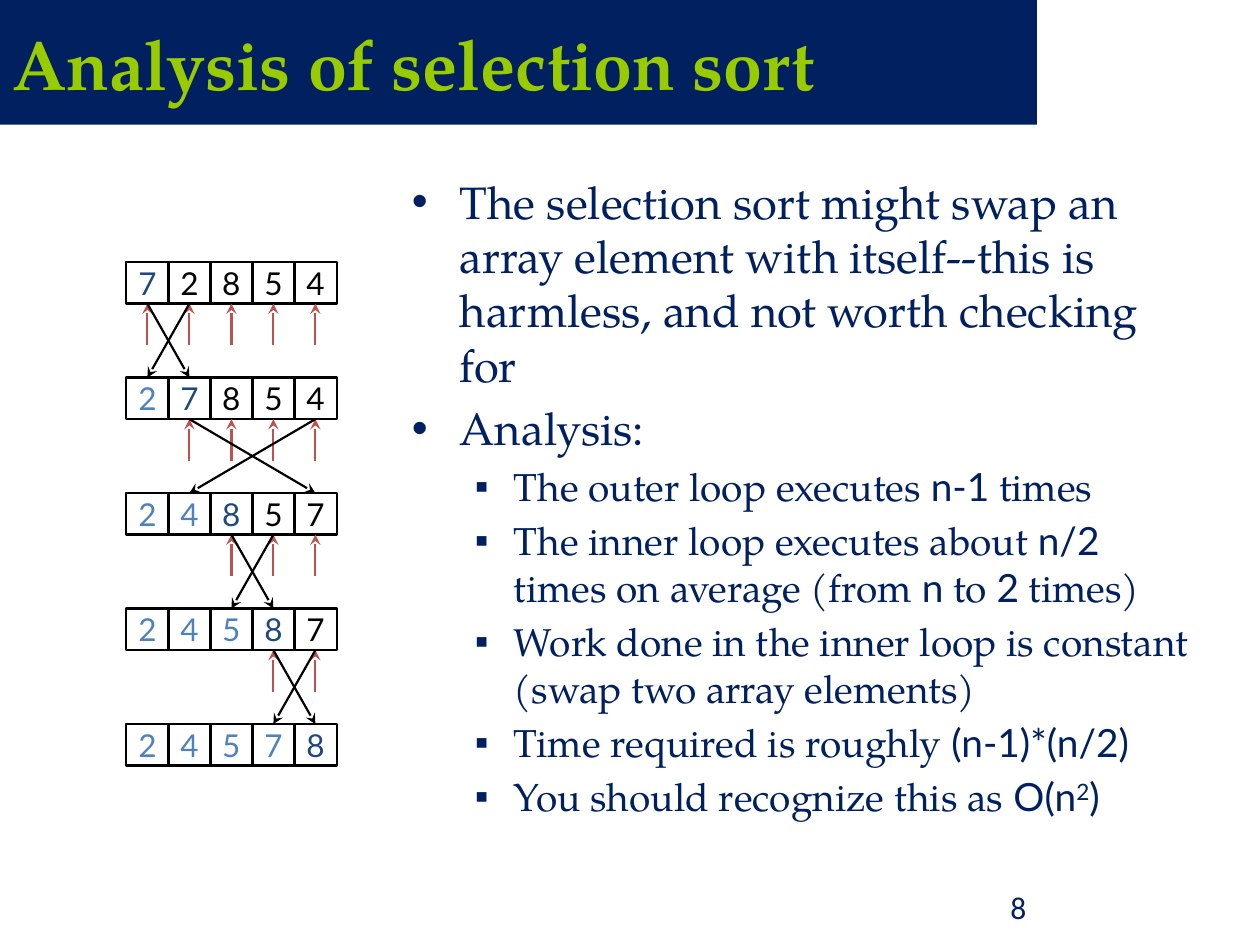
import pptx
import pptx.dml.color
import pptx.enum.shapes
import pptx.enum.text
import pptx.oxml.ns
import pptx.util
from lxml import etree
from pptx.util import Inches

COLORS = {
    "navy": "002060",
    "lime": "99CC00",
    "black": "000000",
    "sorted": "4F81BD",
    "current": "1F497D",
    "scan": "C0504D",
}
SERIF, SANS, NUMBER = "TeX Gyre Pagella", "Lato", "Calibri"

VALUES = [7, 2, 8, 5, 4]
SWAPS = [(0, 1), (1, 4), (2, 3), (3, 4)]
ARRAY_LEFT, ARRAY_TOP = 1, 2.08
COLUMN_PITCH, ROW_PITCH = 1 / 3, 11 / 12
CELL_WIDTH, CELL_HEIGHT = 0.34, 0.33
SCAN_LENGTH = 0.33
TOP, BOTTOM = 0, 2

# Each bullet is a level and its runs: (text, font) or (text, font, baseline)
BULLETS = [
    (0, [("The selection sort might swap an array element with itself--this is "
          "harmless, and not worth checking for", SERIF)]),
    (0, [("Analysis:", SERIF)]),
    (1, [("The outer loop executes ", SERIF), ("n-1", SANS), (" times", SERIF)]),
    (1, [("The inner loop executes about ", SERIF), ("n/2", SANS),
         (" times on average (from ", SERIF), ("n", SANS), (" to ", SERIF),
         ("2", SANS), (" times)", SERIF)]),
    (1, [("Work done in the inner loop is constant (swap two array elements)", SERIF)]),
    (1, [("Time required is roughly ", SERIF), ("(n-1)*(n/2)", SANS)]),
    (1, [("You should recognize this as", SERIF), (" O(n", SANS),
         ("2", SANS, 30000), (")", SANS)]),
]
# Size in points, left margin and hanging indent in inches, bullet character
LEVELS = [(25.9, 0.38, 0.38, "•"), (22.2, 0.81, 0.31, "▪")]


def rgb(name):
    return pptx.dml.color.RGBColor.from_string(COLORS[name])


def add_run(paragraph, text, *, size, font, color, bold=False, baseline=0):
    run = paragraph.add_run()
    run.text = text
    run.font.size = pptx.util.Pt(size)
    run.font.name = font
    run.font.bold = bold
    run.font.color.rgb = rgb(color)
    if baseline:
        run.font._element.set("baseline", str(baseline))


def set_bullet(paragraph, character, margin, hanging):
    properties = paragraph._p.get_or_add_pPr()
    properties.set("marL", str(Inches(margin)))
    properties.set("indent", str(-Inches(hanging)))
    font = etree.SubElement(properties, pptx.oxml.ns.qn("a:buFont"))
    font.set("typeface", "Arial")
    bullet = etree.SubElement(properties, pptx.oxml.ns.qn("a:buChar"))
    bullet.set("char", character)


class SlideBuilder:
    def __init__(self, presentation):
        self.slide = presentation.slides.add_slide(presentation.slide_layouts[6])

    def box(self, kind, left, top, width, height, text, *, fill=None, line=None,
            align=pptx.enum.text.PP_ALIGN.LEFT, wrap=True, **text_format):
        shape = self.slide.shapes.add_shape(
            kind, Inches(left), Inches(top), Inches(width), Inches(height))
        shape.shadow.inherit = False
        if fill:
            shape.fill.solid()
            shape.fill.fore_color.rgb = rgb(fill)
        else:
            shape.fill.background()
        if line:
            shape.line.color.rgb = rgb(line)
            shape.line.width = pptx.util.Pt(1.5)
        else:
            shape.line.fill.background()
        shape.text_frame.word_wrap = wrap
        shape.text_frame.vertical_anchor = pptx.enum.text.MSO_ANCHOR.MIDDLE
        paragraph = shape.text_frame.paragraphs[0]
        paragraph.alignment = align
        add_run(paragraph, text, **text_format)
        return shape

    def text_box(self, left, top, width, height):
        shape = self.slide.shapes.add_textbox(
            Inches(left), Inches(top), Inches(width), Inches(height))
        shape.text_frame.word_wrap = True
        return shape.text_frame

    def bullets(self, frame, items):
        for index, (level, runs) in enumerate(items):
            paragraph = frame.add_paragraph() if index else frame.paragraphs[0]
            size, margin, hanging, character = LEVELS[level]
            paragraph.level = level
            paragraph.space_before = pptx.util.Pt(round(size * 0.2, 1))
            set_bullet(paragraph, character, margin, hanging)
            for text, font, *baseline in runs:
                add_run(paragraph, text, size=size, font=font, color="navy",
                        baseline=baseline[0] if baseline else 0)

    def arrow(self, color, target, side, *, source=None, start=(0, 0)):
        """Point at a side of target, from the bottom of source or from start."""
        x, y = (Inches(value) for value in start)
        connector = self.slide.shapes.add_connector(
            pptx.enum.shapes.MSO_CONNECTOR.STRAIGHT, x, y, x, y)
        if source is not None:
            connector.begin_connect(source, BOTTOM)
        connector.end_connect(target, side)
        connector.line.color.rgb = rgb(color)
        connector.line.width = pptx.util.Pt(1.25)
        line = connector.line._get_or_add_ln()
        etree.SubElement(line, pptx.oxml.ns.qn("a:tailEnd")).set("type", "stealth")
        etree.SubElement(connector._element.spPr, pptx.oxml.ns.qn("a:effectLst"))

    def array_row(self, values, step):
        cells = []
        for column, value in enumerate(values):
            color = ("sorted" if column < step
                     else "current" if column == step else "black")
            cells.append(self.box(
                pptx.enum.shapes.MSO_SHAPE.FLOWCHART_PROCESS,
                ARRAY_LEFT + column * COLUMN_PITCH, ARRAY_TOP + step * ROW_PITCH,
                CELL_WIDTH, CELL_HEIGHT, str(value), line="black", wrap=False,
                align=pptx.enum.text.PP_ALIGN.CENTER,
                size=18, font=SANS, color=color))
        return cells

    def scan_arrows(self, cells, step):
        bottom = ARRAY_TOP + step * ROW_PITCH + CELL_HEIGHT
        for column in range(step, len(cells)):
            center = ARRAY_LEFT + column * COLUMN_PITCH + CELL_WIDTH / 2
            self.arrow("scan", cells[column], BOTTOM,
                       start=(center, bottom + SCAN_LENGTH))

    def sort_diagram(self):
        values = list(VALUES)
        cells = self.array_row(values, 0)
        for step, (first, second) in enumerate(SWAPS):
            self.scan_arrows(cells, step)
            values[first], values[second] = values[second], values[first]
            next_cells = self.array_row(values, step + 1)
            self.arrow("black", next_cells[second], TOP, source=cells[first])
            self.arrow("black", next_cells[first], TOP, source=cells[second])
            cells = next_cells


def main():
    presentation = pptx.Presentation()
    presentation.slide_width = Inches(10)
    presentation.slide_height = Inches(7.5)
    builder = SlideBuilder(presentation)
    builder.box(pptx.enum.shapes.MSO_SHAPE.RECTANGLE, 0, 0, 8.23, 0.99,
                "Analysis of selection sort", fill="navy",
                size=40, font=SERIF, color="lime", bold=True)
    page_number = builder.text_box(7.92, 7, 2.08, 0.5)
    add_run(page_number.paragraphs[0], "8", size=18, font=NUMBER, color="navy")
    builder.bullets(builder.text_box(3.17, 1.33, 6.42, 5.33), BULLETS)
    builder.sort_diagram()
    presentation.save("out.pptx")


if __name__ == "__main__":
    main()
